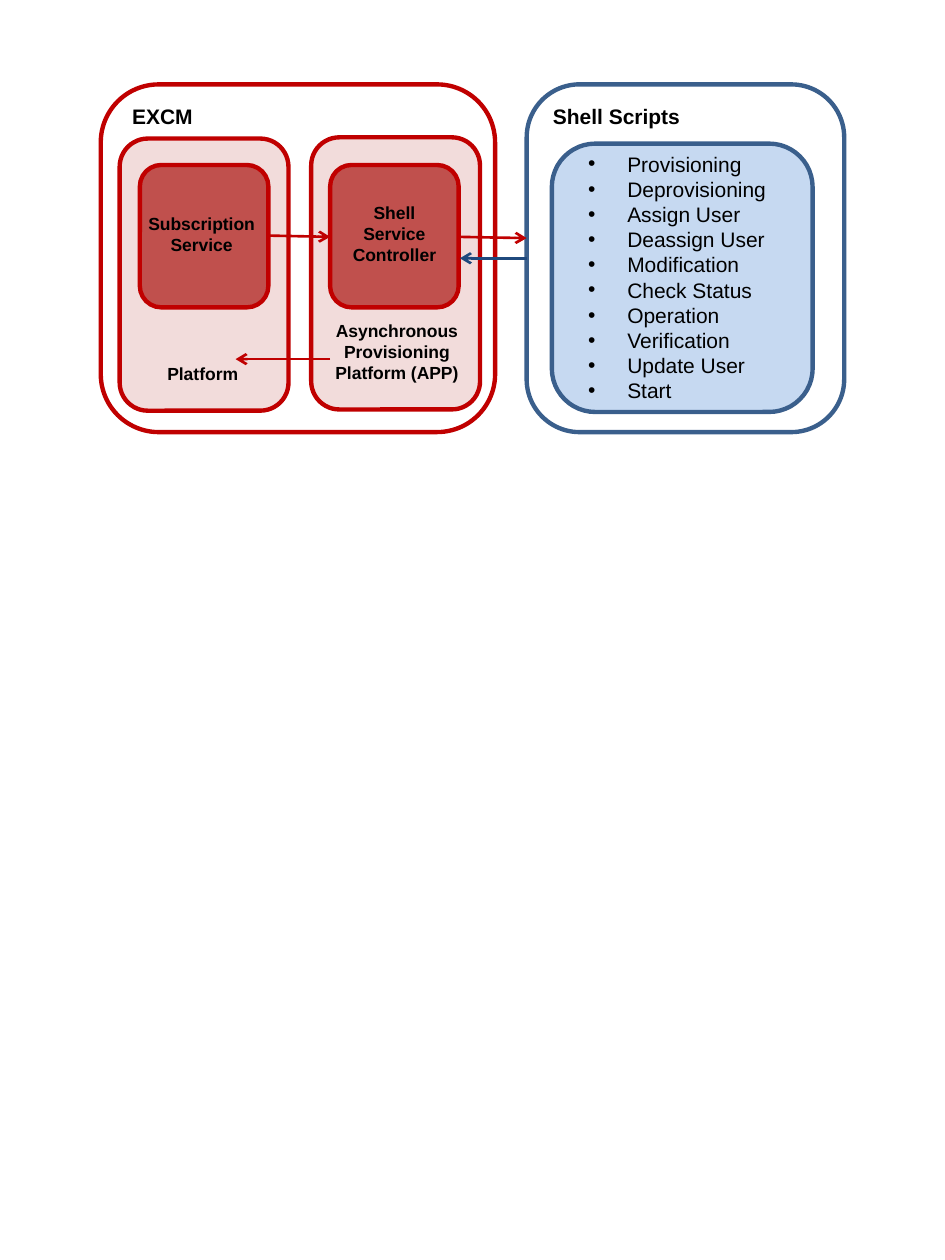
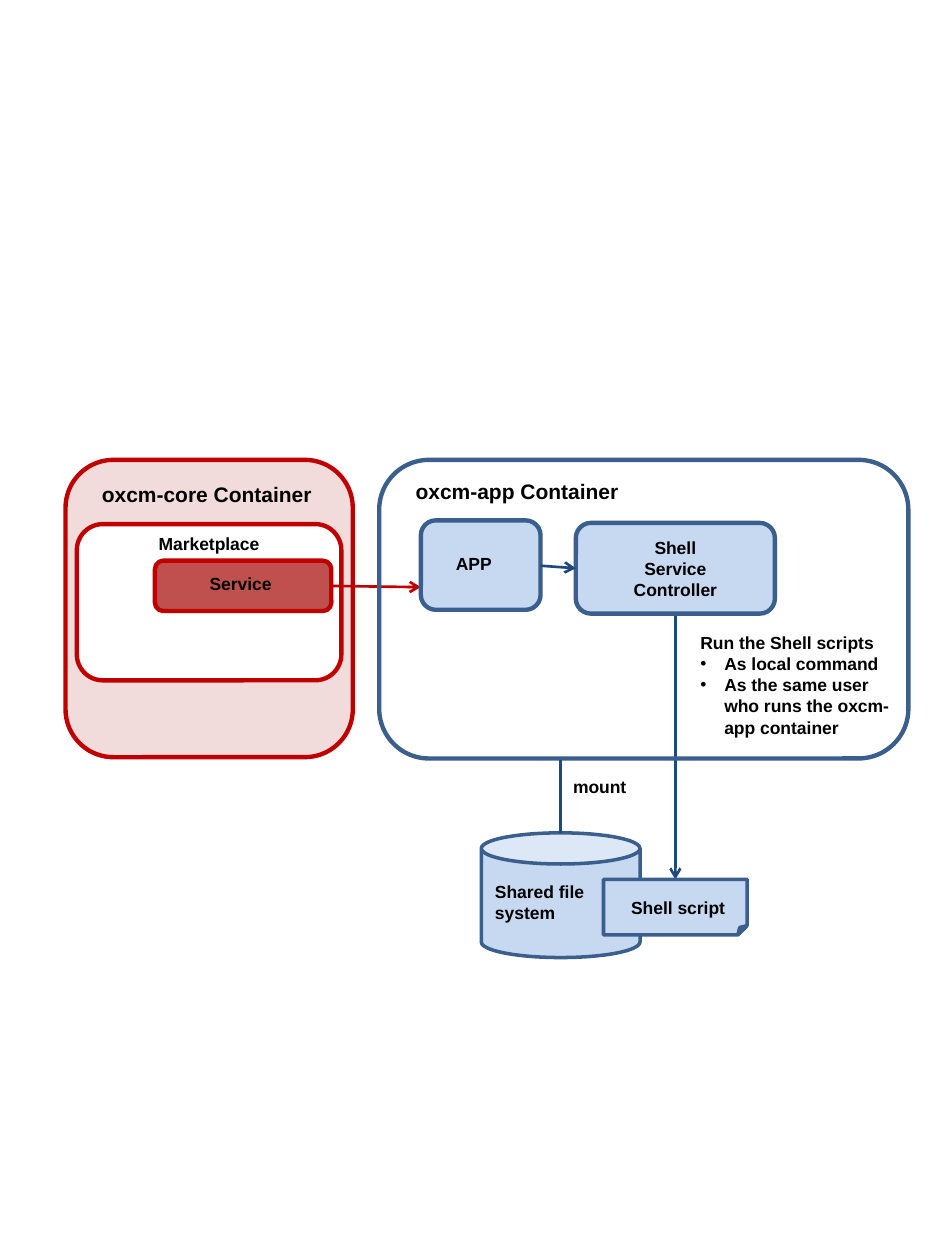
from dataclasses import dataclass
from lxml import etree
from pptx import Presentation
from pptx.dml.color import RGBColor
from pptx.enum.shapes import MSO_CONNECTOR, MSO_SHAPE
from pptx.enum.text import MSO_ANCHOR, PP_ALIGN
from pptx.oxml.ns import qn
from pptx.util import Inches, Pt

ROUND = MSO_SHAPE.ROUNDED_RECTANGLE
CAN = MSO_SHAPE.CAN
NOTE = MSO_SHAPE.FOLDED_CORNER
STRAIGHT = MSO_CONNECTOR.STRAIGHT
TOP = MSO_ANCHOR.TOP
MIDDLE = MSO_ANCHOR.MIDDLE
LEFT = PP_ALIGN.LEFT
CENTER = PP_ALIGN.CENTER


@dataclass
class Theme:
    red: str = "C00000"
    brick: str = "C0504D"
    rose: str = "F2DCDB"
    blue: str = "3A5F8C"
    navy: str = "1F497D"
    sky: str = "C6D9F1"
    white: str = "FFFFFF"
    ink: str = "000000"
    font: str = "Arial"
    head: int = 12
    body: int = 10
    edge: float = 2.5
    thin: float = 2
    link: float = 1.5


look = Theme()


def put(page, box, text="", kind=None, fill=None, edge=None, width=look.edge,
        size=look.body, bold=True, align=LEFT, wrap=True,
        pad=(0.1, 0.05, 0.1, 0.05), hang=0, plain=0):
    spot = [Inches(n) for n in box]
    if kind is None:
        shape = page.shapes.add_textbox(*spot)
    else:
        shape = page.shapes.add_shape(kind, *spot)
        shape.shadow.inherit = False
        shape.line.color.rgb = RGBColor.from_string(edge)
        shape.line.width = Pt(width)
        if fill:
            shape.fill.solid()
            shape.fill.fore_color.rgb = RGBColor.from_string(fill)
        else:
            shape.fill.background()
    if not text:
        return
    frame = shape.text_frame
    frame.word_wrap = wrap
    frame.vertical_anchor = MIDDLE if kind else TOP
    (frame.margin_left, frame.margin_top,
     frame.margin_right, frame.margin_bottom) = [Inches(n) for n in pad]
    for row, words in enumerate(text.split("\n")):
        para = frame.paragraphs[0] if row == 0 else frame.add_paragraph()
        para.alignment = align
        run = para.add_run()
        run.text = words
        run.font.name = look.font
        run.font.size = Pt(size)
        run.font.bold = bold
        run.font.color.rgb = RGBColor.from_string(look.ink)
        if hang and row >= plain:
            props = para._p.get_or_add_pPr()
            props.set("marL", str(Inches(hang)))
            props.set("indent", str(-Inches(hang)))
            etree.SubElement(props, qn("a:buFont")).set("typeface", look.font)
            etree.SubElement(props, qn("a:buChar")).set("char", "•")


def join(page, start, end, color=look.navy, arrow=True):
    line = page.shapes.add_connector(
        STRAIGHT, *[Inches(n) for n in (*start, *end)])
    line.line.color.rgb = RGBColor.from_string(color)
    line.line.width = Pt(look.link)
    if arrow:
        stroke = line.line._get_or_add_ln()
        etree.SubElement(stroke, qn("a:tailEnd")).set("type", "arrow")
    etree.SubElement(line._element.spPr, qn("a:effectLst"))


deck = Presentation()
deck.slide_width = Inches(7.5)
deck.slide_height = Inches(10)
blank = deck.slide_layouts[6]

red = dict(kind=ROUND, edge=look.red)
rose = dict(red, fill=look.rose)
brick = dict(red, fill=look.brick, align=CENTER)
blue = dict(kind=ROUND, edge=look.blue)
sky = dict(blue, fill=look.sky)
title = dict(size=look.head)
snug = (0, 0, 0.04, 0.04)

flow = deck.slides.add_slide(blank)
put(flow, (0.8, 0.67, 3.13, 2.76), **red)
put(flow, (4.18, 0.67, 2.52, 2.76), **blue)
put(flow, (0.95, 0.77, 2.32, 0.33), "EXCM", **title)
put(flow, (4.29, 0.77, 1.22, 0.33), "Shell Scripts", wrap=False, **title)
parts = [
    (0.95, 1.1, 1.11, "Subscription Service", snug),
    (2.47, 1.09, 2.62, "Shell\nService\nController", (0, 0, 0, 0.04)),
]
for left, top, inner, name, pad in parts:
    put(flow, (left, top, 1.34, 2.16), **rose)
    put(flow, (inner, 1.31, 1.02, 1.13), name, pad=pad, **brick)
put(flow, (1.23, 2.83, 0.83, 0.3), "Platform")
put(flow, (2.45, 2.49, 1.4, 0.67),
    "Asynchronous\nProvisioning\nPlatform (APP)", align=CENTER)
for start, end, color in [
    ((2.13, 1.87), (2.62, 1.88), look.red),
    ((2.62, 2.85), (1.87, 2.85), look.red),
    ((3.65, 1.88), (4.18, 1.89), look.red),
    ((4.18, 2.05), (3.65, 2.05), look.navy),
]:
    join(flow, start, end, color)
put(flow, (4.38, 1.14, 2.07, 2.13), **sky)
tasks = ["Provisioning", "Deprovisioning", "Assign User", "Deassign User",
         "Modification", "Check Status", "Operation", "Verification",
         "Update User", "Start"]
put(flow, (4.57, 1.15, 1.62, 2.12), "\n".join(tasks),
    bold=False, hang=0.31, **title)

host = deck.slides.add_slide(blank)
join(host, (5.36, 4.87), (5.36, 6.98))
put(host, (0.52, 3.65, 2.28, 2.36), **rose)
put(host, (0.71, 3.77, 2.32, 0.3), "oxcm-core Container", **title)
put(host, (0.61, 4.16, 2.1, 1.24), fill=look.white, **red)
put(host, (1.23, 4.45, 1.4, 0.4), "Service", pad=snug, **brick)
put(host, (1.16, 4.18, 1.02, 0.27), "Marketplace")
join(host, (2.62, 4.65), (3.34, 4.66), look.red)
put(host, (3.01, 3.65, 4.2, 2.37), **blue)
put(host, (3.2, 3.75, 3.05, 0.33), "oxcm-app Container", **title)
put(host, (3.34, 4.13, 0.95, 0.71), **sky)
put(host, (3.52, 4.34, 0.49, 0.27), "APP", wrap=False)
put(host, (4.57, 4.15, 1.58, 0.72), "Shell\nService\nController",
    align=CENTER, **sky)
join(host, (4.29, 4.49), (4.57, 4.51))
put(host, (5.46, 4.97, 1.75, 0.94),
    "Run the Shell scripts\nAs local command\n"
    "As the same user who runs the oxcm-app container",
    hang=0.19, plain=1)
store = dict(edge=look.blue, fill=look.sky, width=look.thin)
put(host, (3.82, 6.61, 1.26, 0.99), kind=CAN, **store)
put(host, (4.79, 6.98, 1.14, 0.44), kind=NOTE, **store)
put(host, (4.91, 7.07, 0.95, 0.27), "Shell script", wrap=False)
put(host, (3.83, 6.94, 0.92, 0.44), "Shared file\nsystem", wrap=False)
join(host, (4.45, 6.03), (4.45, 6.61), arrow=False)
put(host, (4.45, 6.11, 0.63, 0.27), "mount", wrap=False)

deck.save("out.pptx")
